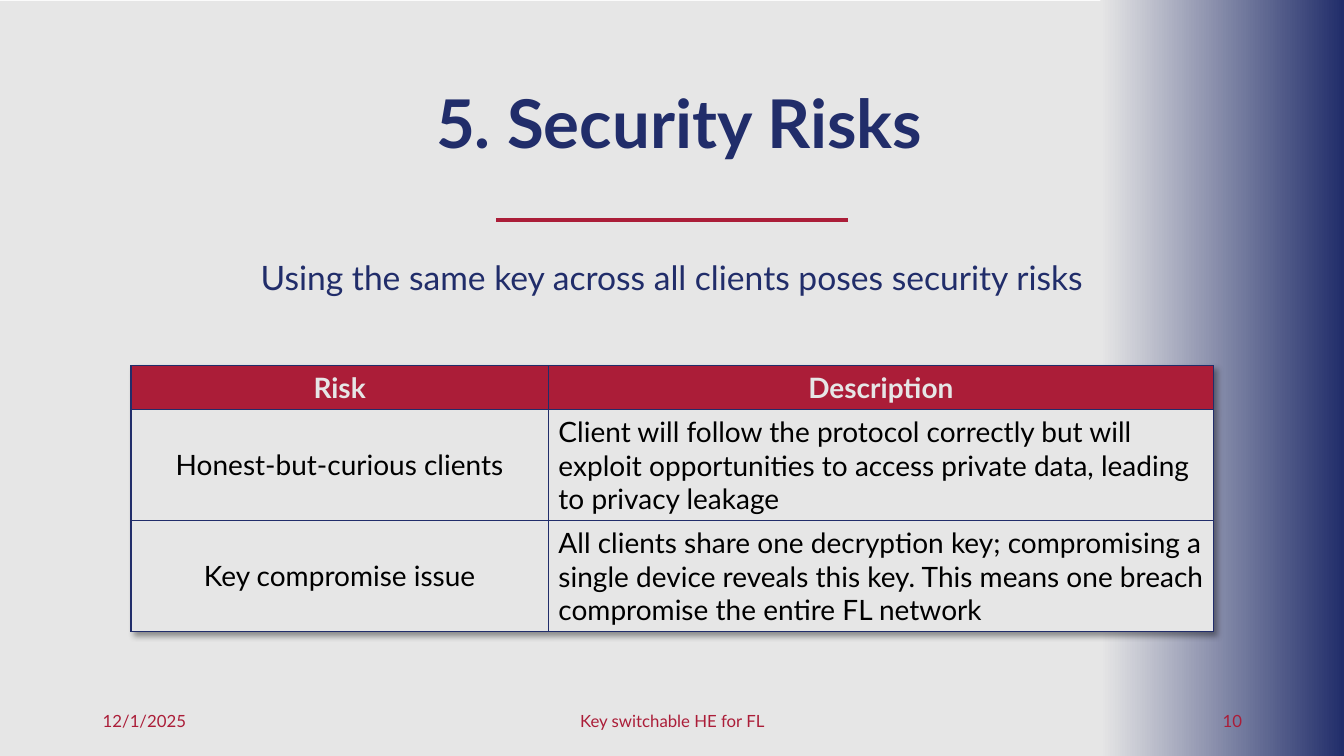
from lxml import etree
from pptx import Presentation
from pptx.dml.color import RGBColor
from pptx.enum.shapes import MSO_CONNECTOR, MSO_SHAPE
from pptx.enum.text import MSO_ANCHOR, PP_ALIGN
from pptx.oxml import parse_xml
from pptx.oxml.ns import qn
from pptx.util import Cm, Pt

RECTANGLE = MSO_SHAPE.RECTANGLE
STRAIGHT = MSO_CONNECTOR.STRAIGHT
TOP, MIDDLE = MSO_ANCHOR.TOP, MSO_ANCHOR.MIDDLE
LEFT, CENTER, RIGHT = PP_ALIGN.LEFT, PP_ALIGN.CENTER, PP_ALIGN.RIGHT

DRAWING = "http://schemas.openxmlformats.org/drawingml/2006/main"
WIDTH, HEIGHT = 33.87, 19.05
FONT = "Lato"
COLORS = {
    "paper": "E6E6E6",
    "navy": "212D6A",
    "crimson": "AB1D38",
    "black": "000000",
}
RISKS = [
    ("Risk", "Description"),
    ("Honest-but-curious clients",
     "Client will follow the protocol correctly but will exploit opportunities "
     "to access private data, leading to privacy leakage"),
    ("Key compromise issue",
     "All clients share one decryption key; compromising a single device reveals "
     "this key. This means one breach compromise the entire FL network"),
]
FOOTERS = [
    ("12/1/2025", 2.34, 7.62, LEFT),
    ("Key switchable HE for FL", 11.23, 11.43, CENTER),
    ("10", 23.93, 7.62, RIGHT),
]


class SlideBuilder:
    def __init__(self, slide, font, colors):
        self.slide = slide
        self.font = font
        self.colors = colors

    def color(self, name):
        return RGBColor.from_string(self.colors[name])

    def style(self, paragraph, size, color, bold=False, align=LEFT):
        paragraph.alignment = align
        paragraph.font.name = self.font
        paragraph.font.size = Pt(size)
        paragraph.font.bold = bold
        paragraph.font.color.rgb = self.color(color)

    def rectangle(self, left, top, width, height, *fill_colors):
        shape = self.slide.shapes.add_shape(
            RECTANGLE, Cm(left), Cm(top), Cm(width), Cm(height))
        shape.shadow.inherit = False
        shape.line.fill.background()
        if len(fill_colors) == 1:
            shape.fill.solid()
            shape.fill.fore_color.rgb = self.color(fill_colors[0])
        else:
            shape.fill.gradient()
            shape.fill.gradient_angle = 0
            for position, (stop, name) in enumerate(
                    zip(shape.fill.gradient_stops, fill_colors)):
                stop.position = position
                stop.color.rgb = self.color(name)

    def text(self, words, left, top, width, height, size, color,
             bold=False, align=LEFT, anchor=MIDDLE):
        frame = self.slide.shapes.add_textbox(
            Cm(left), Cm(top), Cm(width), Cm(height)).text_frame
        frame.word_wrap = True
        frame.vertical_anchor = anchor
        paragraph = frame.paragraphs[0]
        paragraph.text = words
        self.style(paragraph, size, color, bold, align)
        return paragraph

    def line(self, start, end, y, color, weight):
        connector = self.slide.shapes.add_connector(
            STRAIGHT, Cm(start), Cm(y), Cm(end), Cm(y))
        connector.line.color.rgb = self.color(color)
        connector.line.width = Pt(weight)
        etree.SubElement(connector.element.spPr, qn("a:effectLst"))

    def border(self, cell, color, weight):
        properties = cell._tc.get_or_add_tcPr()
        for index, side in enumerate(("lnL", "lnR", "lnT", "lnB")):
            properties.insert(index, parse_xml(
                f'<a:{side} xmlns:a="{DRAWING}" w="{Pt(weight)}"><a:solidFill>'
                f'<a:srgbClr val="{self.colors[color]}"/></a:solidFill></a:{side}>'))

    def table(self, rows, left, top, widths, heights, size):
        table = self.slide.shapes.add_table(
            len(rows), len(widths), Cm(left), Cm(top),
            Cm(sum(widths)), Cm(sum(heights))).table
        table.horz_banding = False
        table._tbl.tblPr.insert(0, parse_xml(
            f'<a:effectLst xmlns:a="{DRAWING}"><a:outerShdw blurRad="50800" '
            'dist="38100" dir="2700000" algn="tl" rotWithShape="0">'
            f'<a:srgbClr val="{self.colors["black"]}"><a:alpha val="40000"/>'
            '</a:srgbClr></a:outerShdw></a:effectLst>'))
        for column, width in zip(table.columns, widths):
            column.width = Cm(width)
        for row, height in zip(table.rows, heights):
            row.height = Cm(height)
        for row_index, row in enumerate(rows):
            header = row_index == 0
            for column_index, words in enumerate(row):
                cell = table.cell(row_index, column_index)
                cell.text = words
                cell.vertical_anchor = MIDDLE
                cell.fill.solid()
                cell.fill.fore_color.rgb = self.color("crimson" if header else "paper")
                self.style(cell.text_frame.paragraphs[0], size,
                           "paper" if header else "black", header,
                           CENTER if header or column_index == 0 else LEFT)
                self.border(cell, "navy", 1)


def main():
    presentation = Presentation()
    presentation.slide_width = Cm(WIDTH)
    presentation.slide_height = Cm(HEIGHT)
    slide = presentation.slides.add_slide(presentation.slide_layouts[6])
    builder = SlideBuilder(slide, FONT, COLORS)

    builder.rectangle(0, 0.02, WIDTH, HEIGHT, "paper")
    builder.rectangle(27.73, 0, 6.14, HEIGHT, "paper", "navy")
    for words, left, width, align in FOOTERS:
        builder.text(words, left, 17.65, width, 1.02, 12, "crimson", align=align)

    title = builder.text("5. Security Risks", 8.15, 1.63, 17.93, 3.12, 48, "navy",
                         bold=True, align=CENTER)
    title.line_spacing = 0.9
    title.space_after = Pt(6)
    builder.line(21.36, 12.5, 5.54, "crimson", 3)
    builder.text("Using the same key across all clients poses security risks",
                 6.32, 6.35, 21.59, 1.27, 24, "navy", anchor=TOP)
    builder.table(RISKS, 3.3, 9.22, (10.52, 16.76), (1.09, 2.79, 2.79), 20)

    presentation.save("out.pptx")


if __name__ == "__main__":
    main()
